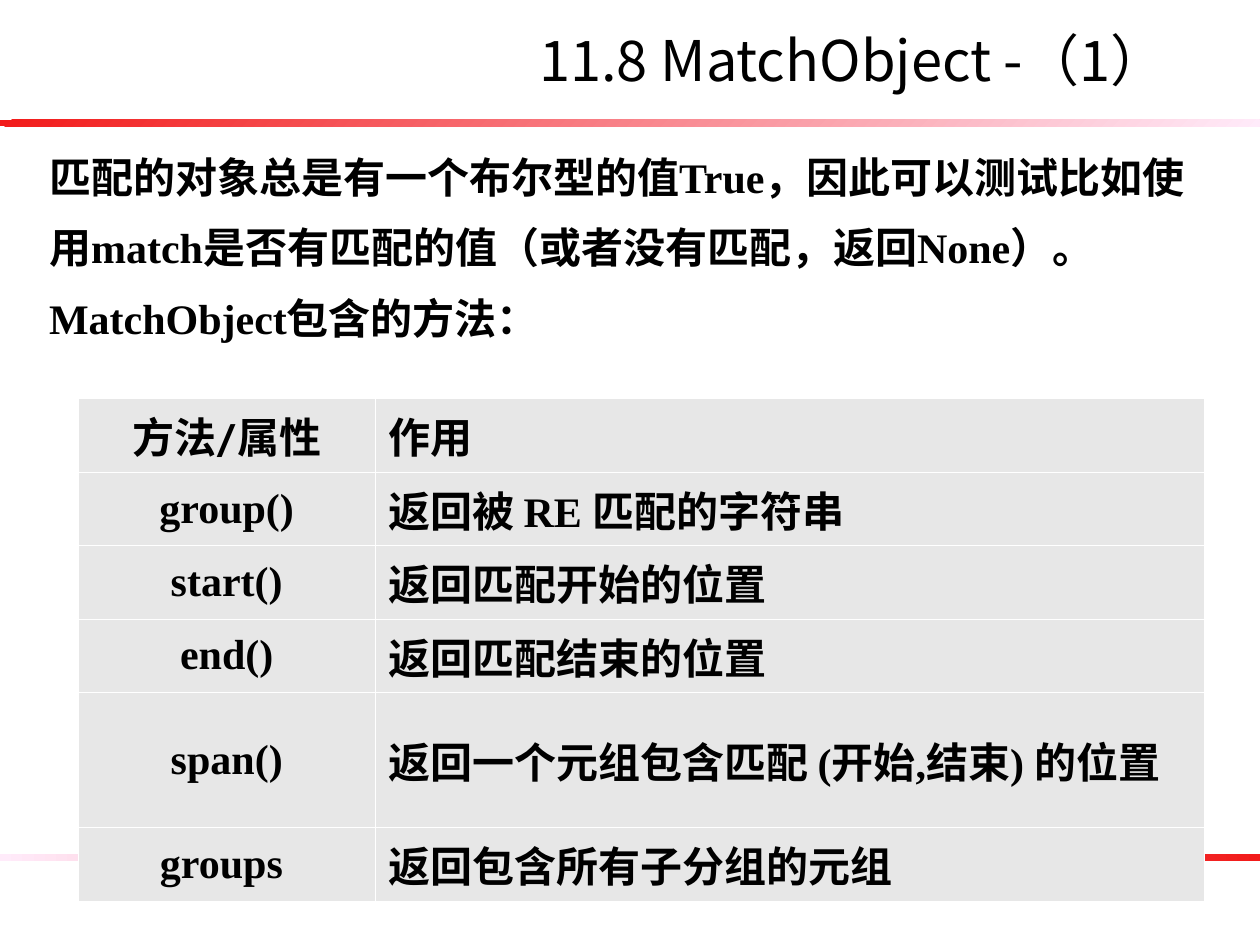
from dataclasses import dataclass

from lxml import etree
from pptx import Presentation
from pptx.dml.color import RGBColor
from pptx.enum.shapes import MSO_SHAPE
from pptx.enum.text import MSO_ANCHOR, PP_ALIGN
from pptx.oxml.ns import qn
from pptx.util import Cm, Pt

RECTANGLE = MSO_SHAPE.RECTANGLE
MIDDLE = MSO_ANCHOR.MIDDLE
TOP = MSO_ANCHOR.TOP
CENTER = PP_ALIGN.CENTER
LEFT = PP_ALIGN.LEFT


@dataclass(frozen=True)
class Theme:
    text: RGBColor = RGBColor(0, 0, 0)
    red: RGBColor = RGBColor(0xF2, 0x1B, 0x1A)
    pink: RGBColor = RGBColor(0xFF, 0xEB, 0xFA)
    cell: RGBColor = RGBColor(0xE7, 0xE7, 0xE7)
    border: str = "FFFFFF"
    border_width: Pt = Pt(0.45)
    title_size: Pt = Pt(32)
    body_size: Pt = Pt(24)
    chinese_font: str = "Noto Sans CJK SC"
    body_font: str = "Times New Roman"
    header_font: str = "League Spartan"


THEME = Theme()

TITLE = "11.8 MatchObject -（1）"
INTRODUCTION = (
    "匹配的对象总是有一个布尔型的值True，因此可以测试比如使用match是否有匹配的值"
    "（或者没有匹配，返回None）。 MatchObject包含的方法："
)
METHODS = [
    ("方法/属性", "作用"),
    ("group()", "返回被 RE 匹配的字符串"),
    ("start()", "返回匹配开始的位置"),
    ("end()", "返回匹配结束的位置"),
    ("span()", "返回一个元组包含匹配 (开始,结束) 的位置"),
    ("groups ", "返回包含所有子分组的元组"),
]
COLUMN_WIDTHS = (Cm(6), Cm(16.71))
ROW_HEIGHT = Cm(1.48)
TWO_LINE_ROW_HEIGHT = Cm(2.72)
TWO_LINE_ROW = 4


def write_text(text_frame, text, font_name, size, bold=True):
    """Fill the frame with one paragraph and return that paragraph."""
    text_frame.text = text
    paragraph = text_frame.paragraphs[0]
    for run in paragraph.runs:
        run.font.name = font_name
        run.font.size = size
        run.font.bold = bold
        run.font.color.rgb = THEME.text
        east_asian = etree.Element(qn("a:ea"), typeface=THEME.chinese_font)
        run.font._element.find(qn("a:latin")).addnext(east_asian)
    return paragraph


def add_gradient_bar(slide, box, angle):
    bar = slide.shapes.add_shape(RECTANGLE, *box)
    bar.shadow.inherit = False
    bar.line.fill.background()
    bar.fill.gradient()
    bar.fill.gradient_angle = angle
    for stop, color in zip(bar.fill.gradient_stops, (THEME.red, THEME.pink)):
        stop.color.rgb = color


def add_text(slide, box, anchor, text, font_name, size, bold):
    text_frame = slide.shapes.add_textbox(*box).text_frame
    text_frame.word_wrap = True
    text_frame.vertical_anchor = anchor
    return write_text(text_frame, text, font_name, size, bold)


def add_cell_borders(cell):
    properties = cell._tc.get_or_add_tcPr()
    for index, side in enumerate(("a:lnL", "a:lnR", "a:lnT", "a:lnB")):
        line = etree.Element(qn(side), w=str(int(THEME.border_width)))
        fill = etree.SubElement(line, qn("a:solidFill"))
        etree.SubElement(fill, qn("a:srgbClr"), val=THEME.border)
        properties.insert(index, line)


def add_method_table(slide, left, top):
    heights = [ROW_HEIGHT] * len(METHODS)
    heights[TWO_LINE_ROW] = TWO_LINE_ROW_HEIGHT
    table = slide.shapes.add_table(
        len(METHODS), len(COLUMN_WIDTHS), left, top, sum(COLUMN_WIDTHS), sum(heights)
    ).table
    for column, width in zip(table.columns, COLUMN_WIDTHS):
        column.width = width
    for row, height in zip(table.rows, heights):
        row.height = height
    for row_index, texts in enumerate(METHODS):
        font_name = THEME.body_font if row_index else THEME.header_font
        for column_index, text in enumerate(texts):
            cell = table.cell(row_index, column_index)
            cell.vertical_anchor = MIDDLE
            cell.fill.solid()
            cell.fill.fore_color.rgb = THEME.cell
            add_cell_borders(cell)
            paragraph = write_text(cell.text_frame, text, font_name, THEME.body_size)
            paragraph.alignment = LEFT if column_index else CENTER


def main():
    presentation = Presentation()
    presentation.slide_width = Cm(25.4)
    presentation.slide_height = Cm(19.05)
    slide = presentation.slides.add_slide(presentation.slide_layouts[6])

    bar_size = (presentation.slide_width, Cm(0.13))
    add_gradient_bar(slide, (0, Cm(2.42), *bar_size), angle=315)
    add_gradient_bar(slide, (0, Cm(17.22), *bar_size), angle=180)

    introduction = add_text(
        slide, (Cm(0.74), Cm(2.52), Cm(23.9), Cm(4.6)), TOP,
        INTRODUCTION, THEME.body_font, THEME.body_size, bold=True,
    )
    introduction.line_spacing = 1.4
    add_text(
        slide, (Cm(10.62), Cm(0.4), Cm(14.76), Cm(1.6)), MIDDLE,
        TITLE, THEME.chinese_font, THEME.title_size, bold=False,
    )
    add_method_table(slide, Cm(1.57), Cm(8.04))
    presentation.save("out.pptx")


if __name__ == "__main__":
    main()
